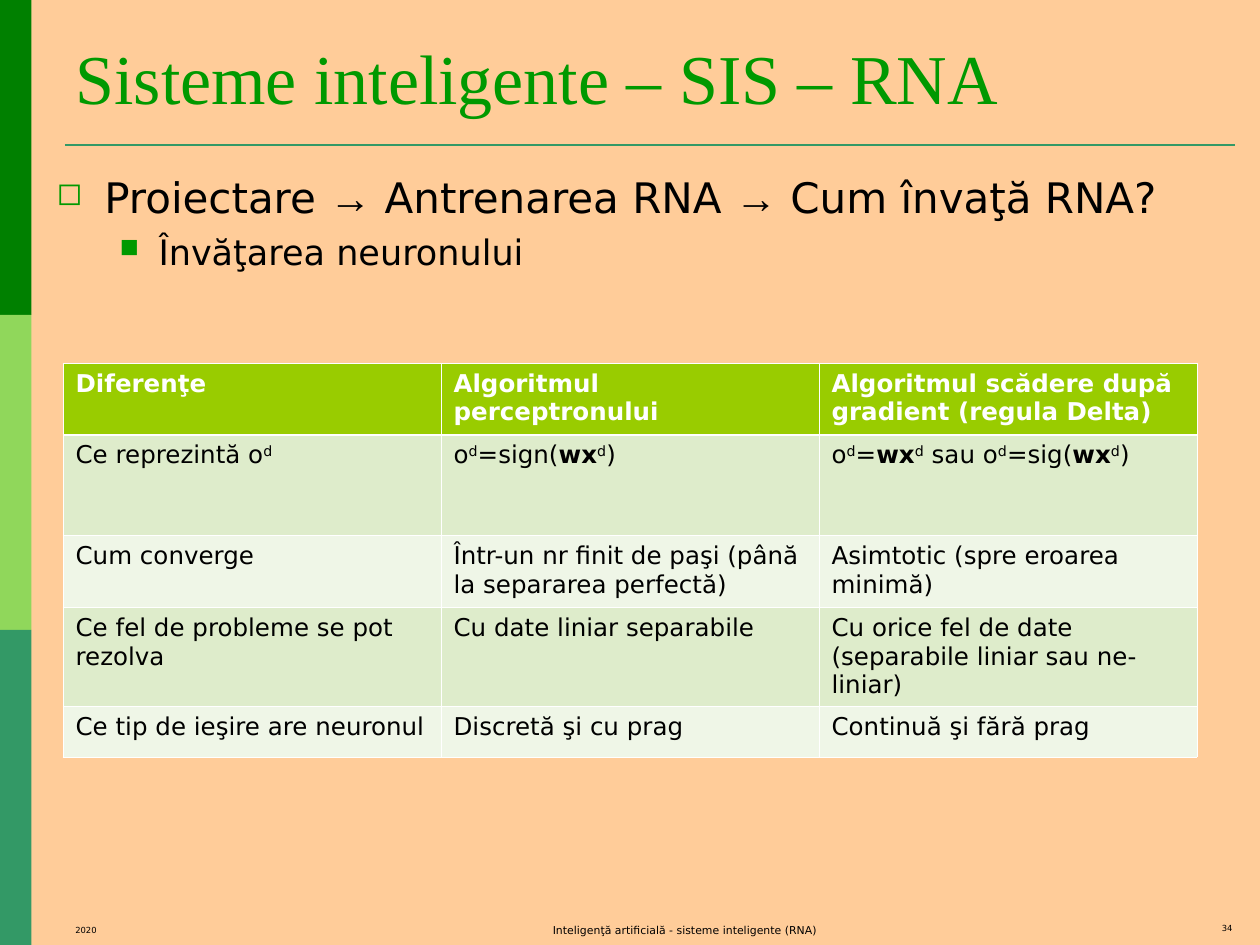
from dataclasses import dataclass

from lxml import etree
from pptx import Presentation
from pptx.dml.color import RGBColor
from pptx.enum import shapes, text
from pptx.oxml import ns
from pptx.util import Inches, Pt

CELL = Inches(0.25)


@dataclass(frozen=True)
class Theme:
    """Colours, fonts and type sizes of the slide."""
    background: str = "FFCC99"
    strips: tuple = ("008000", "90D75B", "339966")
    rule: str = "339966"
    accent: str = "009900"
    ink: str = "000000"
    white: str = "FFFFFF"
    header: str = "99CC00"
    bands: tuple = ("DEECCB", "EFF6E7")
    title_font: str = "Times New Roman"
    body_font: str = "DejaVu Sans"
    symbol_font: str = "Arial"
    title_size: float = 40
    outline_sizes: tuple = (24, 20)
    table_size: float = 14
    small_size: float = 4.8
    footer_size: float = 6.2
    thin: float = 0.45
    thick: float = 1.47


THEME = Theme()
SUPER_D = ("d", {"raised": True})
WEIGHTED_INPUT = [("wx", {"bold": True}), SUPER_D]
OUTPUT = [("o", {}), SUPER_D]

TABLE_ROWS = [
    ["Diferenţe", "Algoritmul perceptronului",
     "Algoritmul scădere după gradient (regula Delta)"],
    [[("Ce reprezintă o", {}), SUPER_D],
     [*OUTPUT, ("=sign(", {}), *WEIGHTED_INPUT, (")", {})],
     [*OUTPUT, ("=", {}), *WEIGHTED_INPUT, (" sau o", {}), SUPER_D,
      ("=sig(", {}), *WEIGHTED_INPUT, (")", {})]],
    ["Cum converge", "Într-un nr finit de paşi (până la separarea perfectă)",
     "Asimtotic (spre eroarea minimă)"],
    ["Ce fel de probleme se pot rezolva", "Cu date liniar separabile",
     "Cu orice fel de date (separabile liniar sau ne-liniar)"],
    ["Ce tip de ieşire are neuronul", "Discretă şi cu prag", "Continuă şi fără prag"],
]
ROW_HEIGHTS = [2.28, 3.2, 2.28, 3.16, 1.6]

ARROW = ("→", {"name": THEME.symbol_font})
OUTLINE = [
    ([("Proiectare ", {}), ARROW, (" Antrenarea RNA ", {}), ARROW,
      (" Cum învaţă RNA?", {})], "◻", 0.38, -0.38, 0),
    ("Învăţarea neuronului", "■", 0.81, -0.31, 5),
]

FOOTERS = [
    ("2020", (2, 29.16, 9.32, 0.8), "LEFT", THEME.small_size),
    ("34", (30.2, 29.12, 9.32, 0.8), "RIGHT", THEME.small_size),
    ("Inteligenţă artificială - sisteme inteligente (RNA)",
     (10.24, 29.12, 23, 0.88), "CENTER", THEME.footer_size),
]


def grid(*cells):
    """Turn grid columns and rows into slide lengths."""
    return [round(cell * CELL) for cell in cells]


def colour(value):
    """Return the colour object for a hex value."""
    return RGBColor.from_string(value)


def paint(fill, value):
    """Give a fill one solid colour."""
    fill.solid()
    fill.fore_color.rgb = colour(value)


def add_child(parent, tag, **attributes):
    """Append a drawing element with attributes to a parent."""
    return etree.SubElement(parent, ns.qn(tag), attributes)


def write(paragraph, content, size, ink=THEME.ink, **base):
    """Write plain text or styled pieces into a paragraph."""
    pieces = [(content, {})] if isinstance(content, str) else content
    for words, style in pieces:
        run = paragraph.add_run()
        run.text = words
        formats = {"name": THEME.body_font, "size": Pt(size), "bold": False, **base, **style}
        if formats.pop("raised", False):
            run.font._element.set("baseline", "30000")
        for name, value in formats.items():
            setattr(run.font, name, value)
        run.font.color.rgb = colour(ink)


def add_text_box(slide, place):
    """Add a wrapping text box and return its frame."""
    frame = slide.shapes.add_textbox(*grid(*place)).text_frame
    frame.word_wrap = True
    return frame


def add_strip(slide, index, value):
    """Add one third of the coloured left edge."""
    shape = slide.shapes.add_shape(
        shapes.MSO_SHAPE.RECTANGLE, *grid(0, index * 10, 1, 10))
    shape.shadow.inherit = False
    paint(shape.fill, value)
    shape.line.fill.background()


def add_rule(slide):
    """Add the line below the title."""
    rule = slide.shapes.add_connector(
        shapes.MSO_CONNECTOR.STRAIGHT, *grid(2.06, 4.6, 39.2, 4.6))
    rule.line.color.rgb = colour(THEME.rule)
    rule.line.width = Pt(1.5)
    add_child(rule._element.spPr, "a:effectLst")


def set_title(slide, words):
    """Place and format the title placeholder."""
    title = slide.shapes.title
    places = zip(("left", "top", "width", "height"), grid(2, 1.2, 37.2, 2.76))
    for name, value in places:
        setattr(title, name, value)
    title.text_frame.vertical_anchor = text.MSO_ANCHOR.BOTTOM
    paragraph = title.text_frame.paragraphs[0]
    paragraph.alignment = text.PP_ALIGN.LEFT
    write(paragraph, words, THEME.title_size, THEME.accent, name=THEME.title_font)


def add_bullet(paragraph, symbol, margin, indent):
    """Give a paragraph a coloured bullet and a hanging indent."""
    properties = paragraph._p.get_or_add_pPr()
    properties.set("marL", str(Inches(margin)))
    properties.set("indent", str(Inches(indent)))
    add_child(add_child(properties, "a:buClr"), "a:srgbClr", val=THEME.accent)
    add_child(properties, "a:buSzPct", val="75000")
    add_child(properties, "a:buChar", char=symbol)


def add_outline(slide):
    """Add the bulleted outline."""
    frame = add_text_box(slide, (1.4, 5.24, 37.8, 23.92))
    for level, (content, symbol, margin, indent, before) in enumerate(OUTLINE):
        paragraph = frame.add_paragraph() if level else frame.paragraphs[0]
        add_bullet(paragraph, symbol, margin, indent)
        paragraph.level = level
        paragraph.space_before = Pt(before)
        write(paragraph, content, THEME.outline_sizes[level])


def set_borders(cell, top, bottom):
    """Draw white borders around a table cell."""
    properties = cell._tc.get_or_add_tcPr()
    widths = {"L": THEME.thin, "R": THEME.thin, "T": top, "B": bottom}
    for side, width in widths.items():
        line = add_child(properties, f"a:ln{side}", w=str(Pt(width)))
        add_child(add_child(line, "a:solidFill"), "a:srgbClr", val=THEME.white)


def fill_cell(cell, content, row):
    """Write and format one table cell."""
    is_header = row == 0
    set_borders(cell, THEME.thick if row == 1 else THEME.thin,
                THEME.thick if is_header else THEME.thin)
    paint(cell.fill, THEME.header if is_header else THEME.bands[(row - 1) % 2])
    write(cell.text_frame.paragraphs[0], content, THEME.table_size,
          THEME.white if is_header else THEME.ink, bold=is_header)


def add_comparison(slide):
    """Add the table comparing the two algorithms."""
    place = grid(2, 11.52, 36, sum(ROW_HEIGHTS))
    table = slide.shapes.add_table(len(TABLE_ROWS), len(TABLE_ROWS[0]), *place).table
    for row, (height, contents) in enumerate(zip(ROW_HEIGHTS, TABLE_ROWS)):
        table.rows[row].height = grid(height)[0]
        for column, content in enumerate(contents):
            fill_cell(table.cell(row, column), content, row)


def add_footer(slide, words, place, alignment, size):
    """Add one small text at the foot of the slide."""
    paragraph = add_text_box(slide, place).paragraphs[0]
    paragraph.alignment = text.PP_ALIGN[alignment]
    write(paragraph, words, size)


def main():
    """Build and save the slide."""
    presentation = Presentation()
    presentation.slide_width, presentation.slide_height = grid(40, 30)
    slide = presentation.slides.add_slide(presentation.slide_layouts[5])
    paint(slide.background.fill, THEME.background)
    for index, value in enumerate(THEME.strips):
        add_strip(slide, index, value)
    add_rule(slide)
    set_title(slide, "Sisteme inteligente – SIS – RNA")
    add_comparison(slide)
    add_outline(slide)
    for footer in FOOTERS:
        add_footer(slide, *footer)
    presentation.save("out.pptx")


if __name__ == "__main__":
    main()
